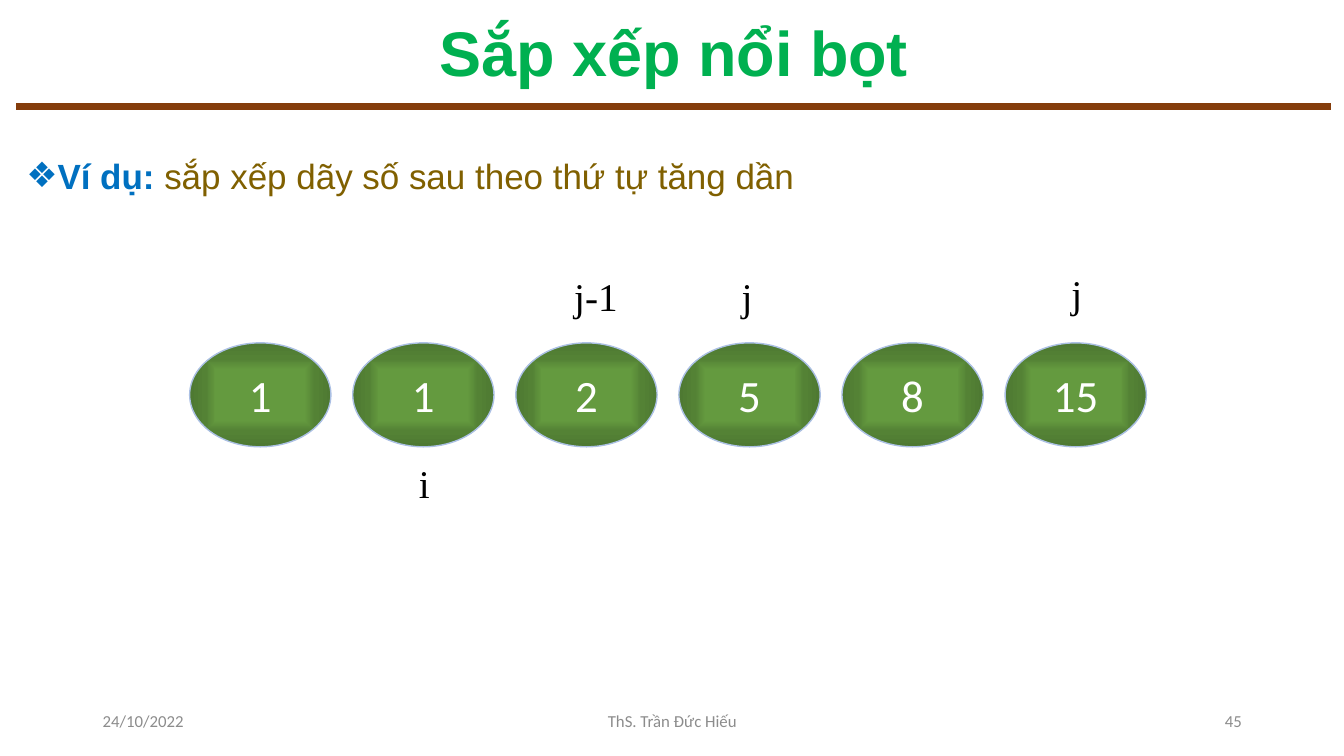
import pptx
import pptx.util
import pptx.oxml
import pptx.oxml.ns
import pptx.dml.color
import pptx.enum.shapes
import pptx.enum.text
from lxml import etree
from pptx.util import Cm

COLORS = {
    "title": "00B050", "rule": "843C0B", "lead": "0070C0", "body": "806000",
    "footer": "8C8C8C", "ball_line": "ABC0E4", "white": "FFFFFF", "black": "000000",
}
GRADIENT = [(23, "649A3F"), (49, "649A3F"), (69, "548235"), (100, "4E7932")]
ALIGN = pptx.enum.text.PP_ALIGN
MIDDLE = pptx.enum.text.MSO_ANCHOR.MIDDLE
qn = pptx.oxml.ns.qn


def rgb(name):
    return pptx.dml.color.RGBColor.from_string(COLORS[name])


def write(shape, text, size, color, font="Calibri", bold=False, align=ALIGN.LEFT,
          anchor=None, wrap=True):
    frame = shape.text_frame
    frame.word_wrap = wrap
    frame.auto_size = pptx.enum.text.MSO_AUTO_SIZE.NONE
    if anchor is not None:
        frame.vertical_anchor = anchor
    paragraph = frame.paragraphs[0]
    paragraph.alignment = align
    run = paragraph.add_run()
    run.text = text
    run.font.size = pptx.util.Pt(size)
    run.font.name = font
    run.font.bold = bold
    run.font.color.rgb = rgb(color)
    return paragraph


presentation = pptx.Presentation()
presentation.slide_width = Cm(33.87)
presentation.slide_height = Cm(19.05)
slide = presentation.slides.add_slide(presentation.slide_layouts[1])
shapes = slide.shapes

rule = shapes.add_connector(
    pptx.enum.shapes.MSO_CONNECTOR.STRAIGHT, Cm(0.41), Cm(2.69), Cm(33.55), Cm(2.69))
rule.line.color.rgb = rgb("rule")
rule.line.width = pptx.util.Pt(5)
etree.SubElement(rule._element.spPr, qn("a:effectLst"))

title = shapes.title
title.left, title.top, title.width, title.height = Cm(0.41), Cm(0.38), Cm(33.15), Cm(2.06)
heading = write(title, "Sắp xếp nổi bọt", 45, "title", font="Arial", bold=True,
                align=ALIGN.CENTER, anchor=MIDDLE)
heading.line_spacing = 0.9

body = slide.placeholders[1]
body.left, body.top, body.width, body.height = Cm(0.41), Cm(3.45), Cm(33.15), Cm(15.37)
write(body, "Ví dụ: ", 25, "lead", font="Arial", bold=True)
example = write(body, "sắp xếp dãy số sau theo thứ tự tăng dần", 25, "body", font="Arial")
example.line_spacing = 1.3
example.space_before = pptx.util.Pt(10)
properties = example._p.get_or_add_pPr()
properties.set("marL", str(Cm(0.64)))
properties.set("indent", str(Cm(-0.64)))
etree.SubElement(properties, qn("a:buFont"), typeface="Arial")
etree.SubElement(properties, qn("a:buChar"), char="❖")

for text, left, width, align in [
    ("24/10/2022", 2.34, 7.62, ALIGN.LEFT),
    ("ThS. Trần Đức Hiếu", 11.23, 11.43, ALIGN.CENTER),
    ("45", 23.93, 7.62, ALIGN.RIGHT),
]:
    footer = shapes.add_textbox(Cm(left), Cm(17.65), Cm(width), Cm(1.02))
    write(footer, text, 12, "footer", align=align, anchor=MIDDLE)

for index, number in enumerate([1, 1, 2, 5, 8, 15]):
    ball = shapes.add_shape(pptx.enum.shapes.MSO_SHAPE.OVAL,
                            Cm(4.78 + 4.11 * index), Cm(8.64), Cm(3.56), Cm(2.62))
    ball.shadow.inherit = False
    ball.line.color.rgb = rgb("ball_line")
    ball.line.width = pptx.util.Pt(1)
    ball.fill.gradient()
    gradient = ball._element.spPr.find(qn("a:gradFill"))
    for child in list(gradient):
        gradient.remove(child)
    stops = etree.SubElement(gradient, qn("a:gsLst"))
    for position, color in GRADIENT:
        stop = etree.SubElement(stops, qn("a:gs"), pos=str(position * 1000))
        etree.SubElement(stop, qn("a:srgbClr"), val=color)
    route = etree.SubElement(gradient, qn("a:path"))
    route.set("path", "shape")
    etree.SubElement(route, qn("a:fillToRect"), l="50000", t="50000", r="50000", b="50000")
    write(ball, str(number), 32, "white", align=ALIGN.CENTER, anchor=MIDDLE)

for text, left, top, width in [
    ("i", 10.31, 11.46, 0.79),
    ("j", 18.44, 6.73, 0.79),
    ("j-1", 14.22, 6.73, 1.63),
    ("j", 26.75, 6.65, 0.79),
]:
    label = shapes.add_textbox(Cm(left), Cm(top), Cm(width), Cm(1.45))
    write(label, text, 28, "black", font="Times New Roman", wrap=False)
    label.text_frame.auto_size = pptx.enum.text.MSO_AUTO_SIZE.SHAPE_TO_FIT_TEXT

presentation.save("out.pptx")
